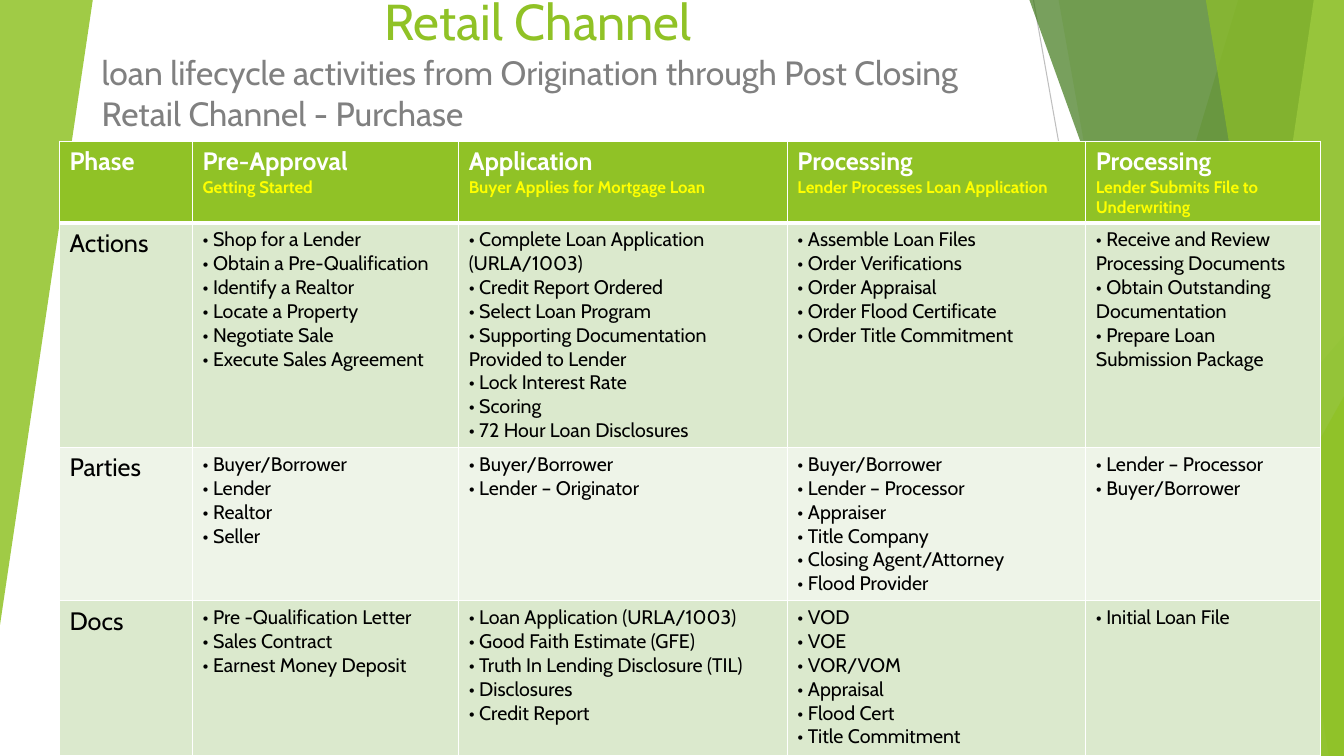
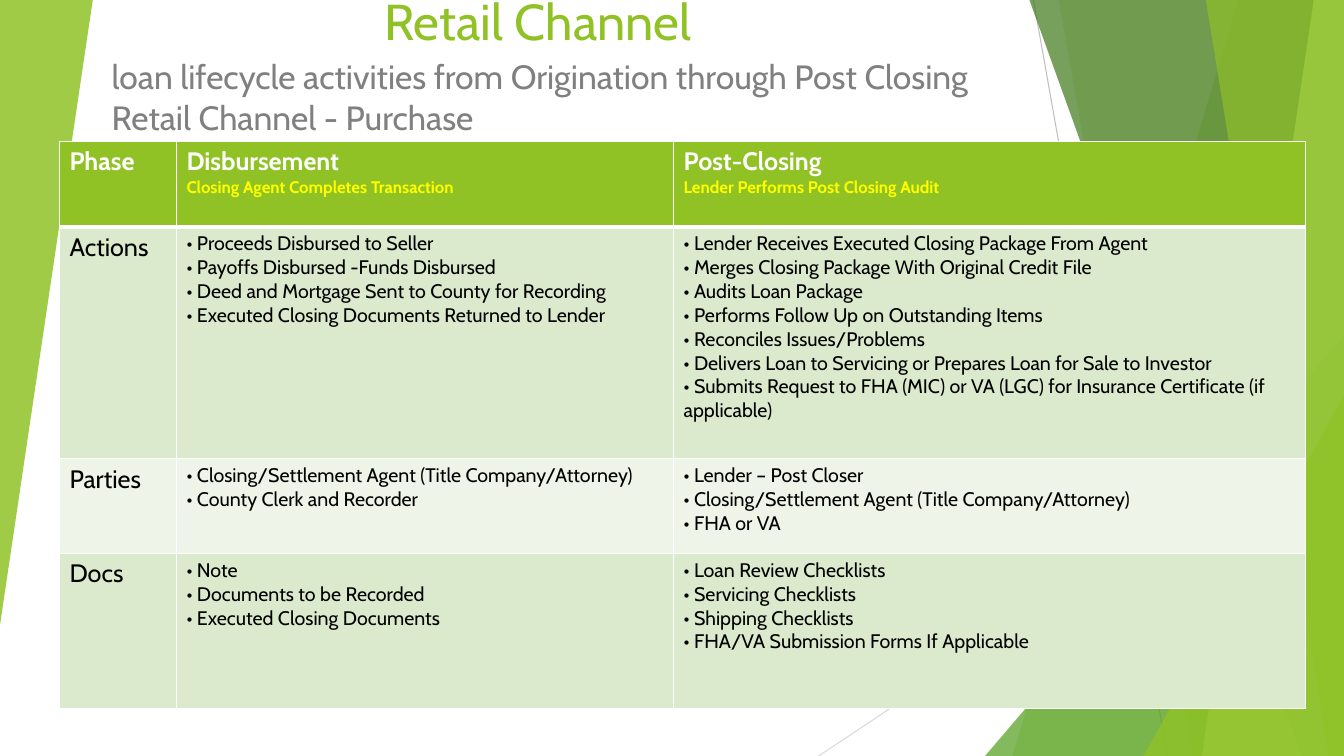
from dataclasses import dataclass

from lxml import etree
from pptx import Presentation
from pptx.dml.color import RGBColor
from pptx.enum import shapes, text
from pptx.oxml import ns
from pptx.util import Inches, Pt


@dataclass(frozen=True)
class Theme:
    font: str = "Cabin"
    green: str = "90C226"
    mid_green: str = "54A021"
    dark_green: str = "3F7819"
    pale_green: str = "C0E474"
    gray: str = "808080"
    white: str = "FFFFFF"
    black: str = "000000"
    yellow: str = "FFFF00"
    bands: tuple = ("DBE9CD", "EEF4E8")
    title: int = 36
    subtitle: int = 24
    heading: int = 18
    body: int = 14
    note: int = 12


THEME = Theme()
WIDTH, HEIGHT = 13.33, 7.5

# Background: rays (start, end, colour), panels (top x, bottom x, colour, opacity %)
# that reach to the right edge, and wedges (box, rotation, colour, opacity %).
RAYS = [((10.25, 0), (11.58, HEIGHT), "BFBFBF"),
        ((WIDTH, 4.03), (8.12, HEIGHT), "D9D9D9")]
FACETS = [
    ("panel", (12.28, 10.04), THEME.green, 30),
    ("panel", (10.5, 11.83), THEME.green, 20),
    ("wedge", (9.77, 3.33, 3.56, 4.17, 0), THEME.mid_green, 72),
    ("panel", (10.21, 12.91), THEME.dark_green, 70),
    ("panel", (13.03, 11.92), THEME.pale_green, 70),
    ("panel", (11.96, 13.18), THEME.green, 65),
    ("wedge", (11.34, 3.93, 1.99, 3.57, 0), THEME.green, 80),
    ("wedge", (0, 0, 0.92, 6.2, 180), THEME.green, 85),
]

TITLE = "Retail Channel"
SUBTITLE = ("loan lifecycle activities from Origination through Post Closing\v"
            "Retail Channel - Purchase")
ROW_NAMES = ["Actions", "Parties", "Docs"]

# Each phase: heading, note, then the items for each row name.
SLIDES = [
    {
        "subtitle_at": (0.91, 0.47),
        "columns": [1.32, 2.64, 3.26, 2.96, 2.33],
        "rows": [0.81, 2.23, 1.52, 1.54],
        "phases": [
            ("Pre-Approval", "Getting Started",
             ["Shop for a Lender", "Obtain a Pre-Qualification", "Identify a Realtor",
              "Locate a Property", "Negotiate Sale", "Execute Sales Agreement"],
             ["Buyer/Borrower", "Lender", "Realtor", "Seller"],
             ["Pre -Qualification Letter", "Sales Contract", "Earnest Money Deposit"]),
            ("Application", "Buyer Applies for Mortgage Loan",
             ["Complete Loan Application\v(URLA/1003)", "Credit Report Ordered",
              "Select Loan Program", "Supporting Documentation Provided to Lender",
              "Lock Interest Rate", "Scoring", "72 Hour Loan Disclosures"],
             ["Buyer/Borrower", "Lender – Originator"],
             ["Loan Application (URLA/1003)", "Good Faith Estimate (GFE)",
              "Truth In Lending Disclosure (TIL)", "Disclosures", "Credit Report"]),
            ("Processing", "Lender Processes Loan Application",
             ["Assemble Loan Files", "Order Verifications", "Order Appraisal",
              "Order Flood Certificate", "Order Title Commitment"],
             ["Buyer/Borrower", "Lender – Processor", "Appraiser", "Title Company",
              "Closing Agent/Attorney", "Flood Provider"],
             ["VOD", "VOE", "VOR/VOM", "Appraisal", "Flood Cert", "Title Commitment"]),
            ("Processing", "Lender Submits File to Underwriting",
             ["Receive and Review Processing Documents",
              "Obtain Outstanding Documentation", "Prepare Loan Submission Package"],
             ["Lender – Processor", "Buyer/Borrower"],
             ["Initial Loan File"]),
        ],
    },
    {
        "subtitle_at": (1.01, 0.51),
        "columns": [1.16, 4.93, 6.27],
        "rows": [0.85, 2.3, 0.94, 1.54],
        "phases": [
            ("Disbursement", "Closing Agent Completes Transaction",
             ["Proceeds Disbursed to Seller", "Payoffs Disbursed -Funds Disbursed",
              "Deed and Mortgage Sent to County for Recording",
              "Executed Closing Documents Returned to Lender"],
             ["Closing/Settlement Agent (Title Company/Attorney)",
              "County Clerk and Recorder"],
             ["Note", "Documents to be Recorded", "Executed Closing Documents"]),
            ("Post-Closing", "Lender Performs Post Closing Audit",
             ["Lender Receives Executed Closing Package From Agent",
              "Merges Closing Package With Original Credit File", "Audits Loan Package",
              "Performs Follow Up on Outstanding Items", "Reconciles Issues/Problems",
              "Delivers Loan to Servicing or Prepares Loan for Sale to Investor",
              "Submits Request to FHA (MIC) or VA (LGC) for Insurance Certificate "
              "(if applicable)"],
             ["Lender – Post Closer", "Closing/Settlement Agent (Title Company/Attorney)",
              "FHA or VA"],
             ["Loan Review Checklists", "Servicing Checklists", "Shipping Checklists",
              "FHA/VA Submission Forms If Applicable"]),
        ],
    },
]


def format_runs(paragraphs, size, color, bold=False):
    for paragraph in paragraphs:
        for run in paragraph.runs:
            run.font.name = THEME.font
            run.font.size = Pt(size)
            run.font.bold = bold
            run.font.color.rgb = RGBColor.from_string(color)


def style_cell(cell, fill, top, bottom):
    """Give a cell white borders (top and bottom widths in points) and a fill."""
    properties = cell._tc.get_or_add_tcPr()
    for side, width in (("L", 1), ("R", 1), ("T", top), ("B", bottom)):
        border = etree.SubElement(properties, ns.qn(f"a:ln{side}"), w=str(Pt(width)))
        paint = etree.SubElement(border, ns.qn("a:solidFill"))
        etree.SubElement(paint, ns.qn("a:srgbClr"), val=THEME.white)
    cell.fill.solid()
    cell.fill.fore_color.rgb = RGBColor.from_string(fill)


deck = Presentation()
deck.slide_width, deck.slide_height = Inches(WIDTH), Inches(HEIGHT)

for content in SLIDES:
    slide = deck.slides.add_slide(deck.slide_layouts[6])

    for start, end, color in RAYS:
        ray = slide.shapes.add_connector(
            shapes.MSO_CONNECTOR.STRAIGHT, *map(Inches, start + end))
        ray.line.color.rgb = RGBColor.from_string(color)
        ray.line.width = Pt(0.75)
        etree.SubElement(ray._element.spPr, ns.qn("a:effectLst"))

    for kind, geometry, color, opacity in FACETS:
        if kind == "panel":
            top_x, bottom_x = geometry
            outline = slide.shapes.build_freeform(Inches(top_x), 0)
            outline.add_line_segments(
                [(Inches(x), Inches(y)) for x, y in
                 ((WIDTH, 0), (WIDTH, HEIGHT), (bottom_x, HEIGHT))])
            facet = outline.convert_to_shape()
        else:
            *box, rotation = geometry
            facet = slide.shapes.add_shape(
                shapes.MSO_SHAPE.ISOSCELES_TRIANGLE, *map(Inches, box))
            facet.adjustments[0] = 1
            facet.rotation = rotation
        facet.shadow.inherit = False
        facet.line.fill.background()
        facet.fill.solid()
        facet.fill.fore_color.rgb = RGBColor.from_string(color)
        paint = facet._element.spPr.find(ns.qn("a:solidFill"))[0]
        etree.SubElement(paint, ns.qn("a:alpha"), val=str(opacity * 1000))

    title = slide.shapes.add_textbox(*map(Inches, (1.09, 0.11, 8.49, 0.44))).text_frame
    title.word_wrap = True
    title.vertical_anchor = text.MSO_ANCHOR.BOTTOM
    title.text = TITLE
    title.paragraphs[0].alignment = text.PP_ALIGN.CENTER
    format_runs(title.paragraphs, THEME.title, THEME.green)

    subtitle = slide.shapes.add_textbox(
        *map(Inches, content["subtitle_at"] + (9.49, 6.43))).text_frame
    subtitle.word_wrap = True
    subtitle.text = SUBTITLE
    subtitle.paragraphs[0].space_before = Pt(2)
    format_runs(subtitle.paragraphs, THEME.subtitle, THEME.gray)

    columns, rows, phases = content["columns"], content["rows"], content["phases"]
    table = slide.shapes.add_table(
        len(rows), len(columns), Inches(0.59), Inches(1.4),
        Inches(sum(columns)), Inches(sum(rows))).table
    for column, width in zip(table.columns, columns):
        column.width = Inches(width)
    for row, height in zip(table.rows, rows):
        row.height = Inches(height)

    headers = ["Phase"] + [f"{heading}\n{note}" for heading, note, *_ in phases]
    for c, header in enumerate(headers):
        cell = table.cell(0, c)
        style_cell(cell, THEME.green, top=1, bottom=3)
        cell.text_frame.text = header
        heading, *notes = cell.text_frame.paragraphs
        format_runs([heading], THEME.heading, THEME.white, bold=True)
        format_runs(notes, THEME.note, THEME.yellow, bold=True)

    for r, row_name in enumerate(ROW_NAMES, start=1):
        entries = [row_name] + ["\n".join(f"• {item}" for item in phase[r + 1])
                                for phase in phases]
        for c, entry in enumerate(entries):
            cell = table.cell(r, c)
            style_cell(cell, THEME.bands[(r - 1) % 2], top=3 if r == 1 else 1, bottom=1)
            cell.text_frame.text = entry
            format_runs(cell.text_frame.paragraphs,
                        THEME.body if c else THEME.heading, THEME.black)

deck.save("out.pptx")
